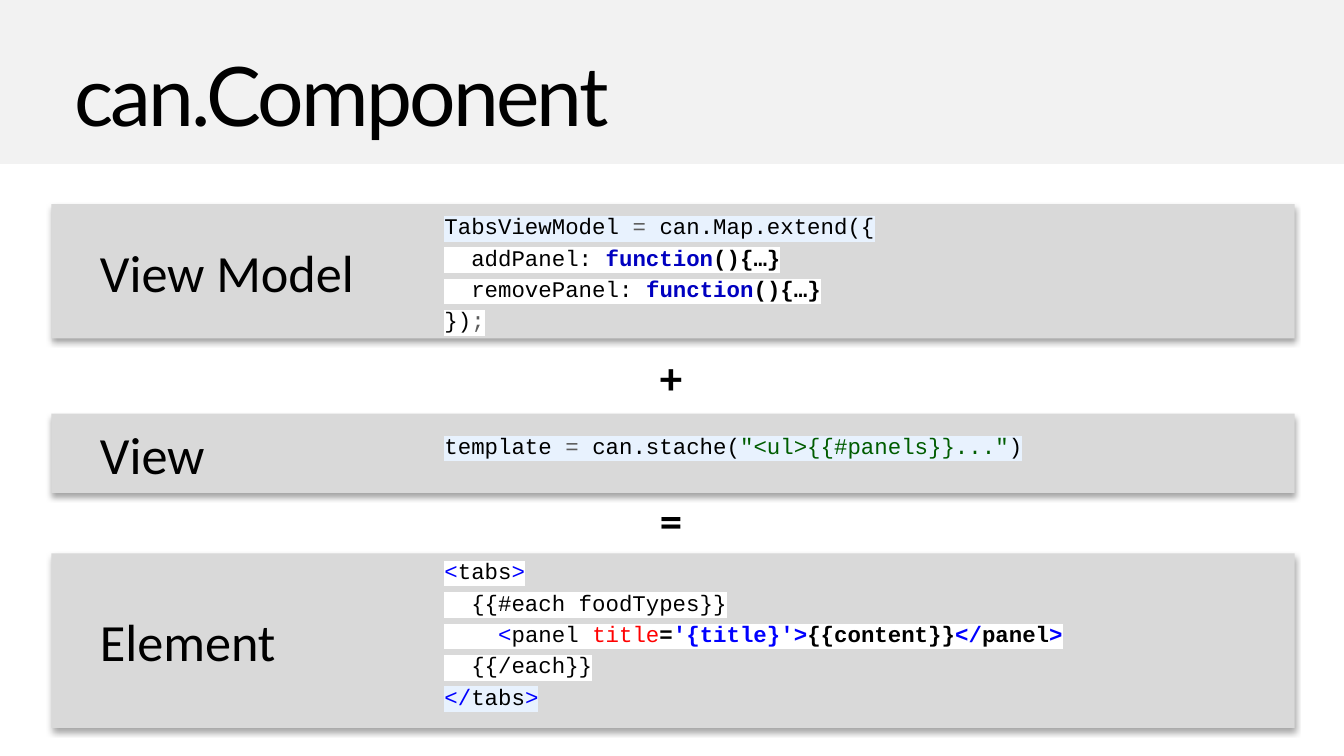
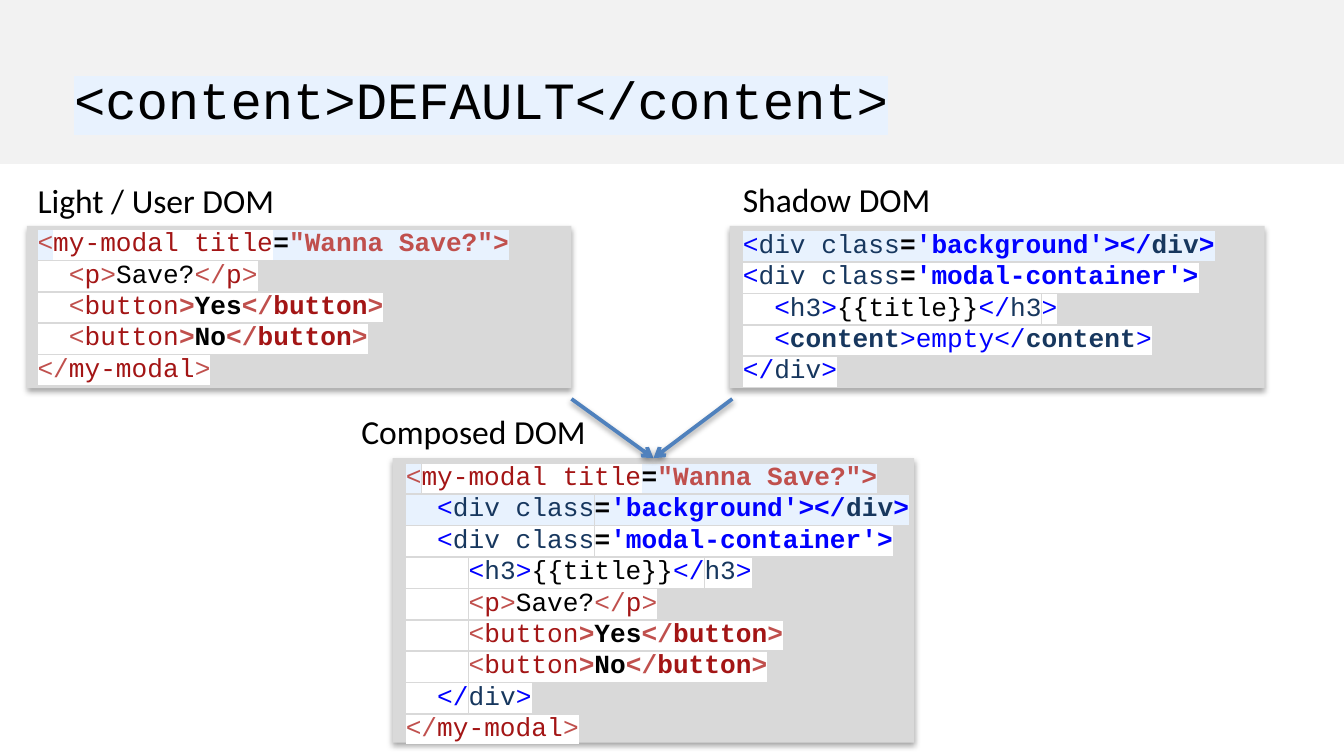
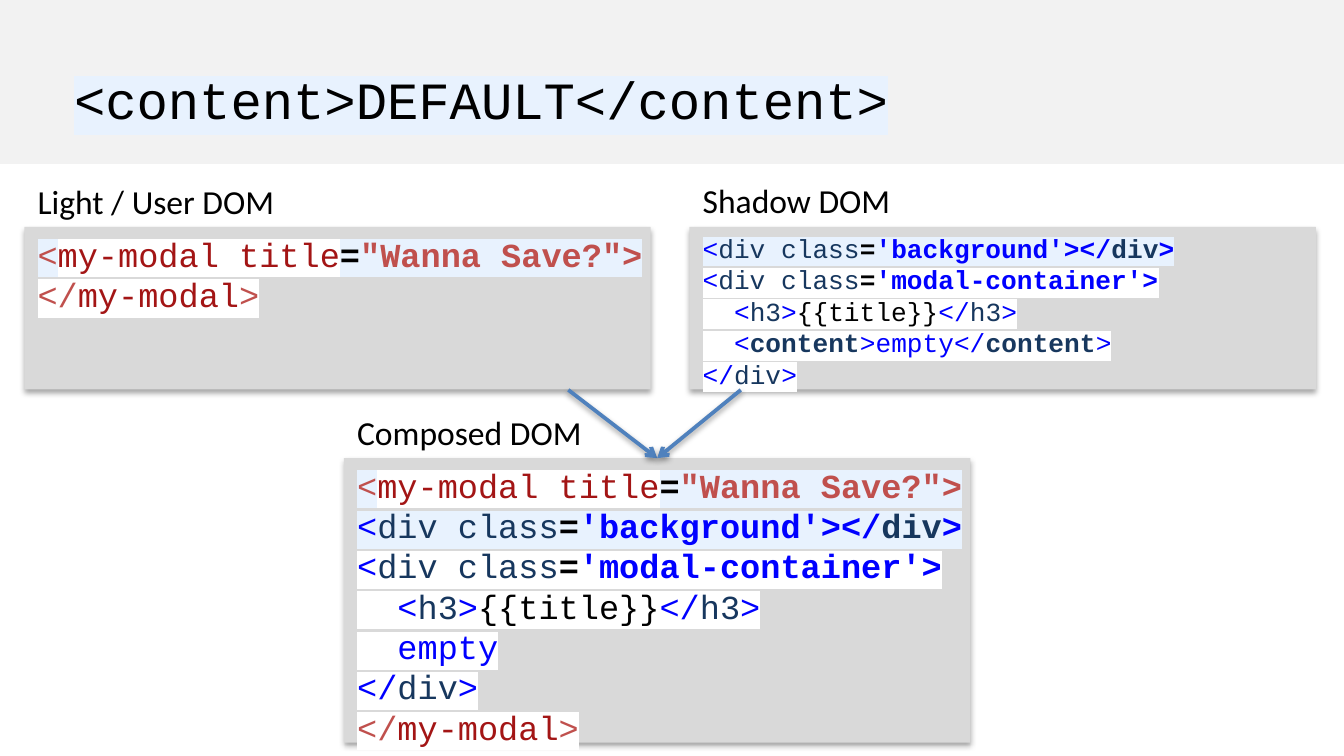
from dataclasses import dataclass
from typing import NamedTuple

from lxml import etree
from pptx import Presentation, util as u
from pptx.dml.color import RGBColor
from pptx.enum import shapes, text
from pptx.oxml.ns import qn

BLACK = RGBColor(0x00, 0x00, 0x00)
WHITE = RGBColor(0xFF, 0xFF, 0xFF)
BAND = RGBColor(0xF2, 0xF2, 0xF2)
CARD = RGBColor(0xD9, 0xD9, 0xD9)
PALE = RGBColor(0xE8, 0xF2, 0xFE)
STEEL = RGBColor(0x4F, 0x81, 0xBD)
GRAY = RGBColor(0x5C, 0x5C, 0x5C)
KEYWORD = RGBColor(0x00, 0x00, 0xC0)
GREEN = RGBColor(0x00, 0x5C, 0x00)
RED = RGBColor(0xFF, 0x00, 0x00)
BLUE = RGBColor(0x00, 0x00, 0xFF)
NAVY = RGBColor(0x17, 0x37, 0x5E)
BRICK = RGBColor(0xC0, 0x50, 0x4D)
MAROON = RGBColor(0xA3, 0x15, 0x15)

BODY, HEADING, CODE = "Calibri", "Lato", "Courier New"
PAGE_WIDTH, PAGE_HEIGHT = 25.4, 14.29


class Frame(NamedTuple):
    """Left, top, width and height in centimetres."""
    left: float
    top: float
    width: float
    height: float

    def lengths(self) -> list[u.Length]:
        return [u.Cm(value) for value in self]


class Span(NamedTuple):
    text: str
    color: RGBColor = BLACK
    bold: bool = False
    back: RGBColor | None = WHITE


Line = list[Span]


class Markup(NamedTuple):
    """Colours of the punctuation and the names in a piece of markup."""
    mark: RGBColor
    name: RGBColor


USER = Markup(BRICK, MAROON)
SHADOW = Markup(BLUE, NAVY)


@dataclass
class Card:
    label: str
    top: float
    height: float
    first_row: int
    lines: list[Line]


@dataclass
class DomPanel:
    label: str
    label_frame: Frame
    card: Frame
    code: Frame
    size: int
    lines: list[Line]


# Lines of code

def highlighted(back: RGBColor, line: Line) -> Line:
    return [span._replace(back=back) for span in line]


def element(indent: str, name: str, body: str, markup: Markup, strong: bool = False) -> Line:
    """An element on one line; strong makes everything after its first name bold."""
    return [Span(indent), Span("<", markup.mark), Span(name, markup.name),
            Span(">", markup.mark, strong), Span(body, BLACK, strong),
            Span("</", markup.mark, strong), Span(name, markup.name, strong),
            Span(">", markup.mark, strong)]


def closing(indent: str, name: str, markup: Markup) -> Line:
    return [Span(indent + "</", markup.mark), Span(name, markup.name), Span(">", markup.mark)]


def div_class(indent: str, rest: str) -> Line:
    return [Span(indent + "<", BLUE), Span("div class", NAVY),
            Span("=", BLACK, True), Span(rest, BLUE, True)]


def background(indent: str = "") -> Line:
    return highlighted(PALE, div_class(indent, "'background'></")
                       + [Span("div", NAVY, True), Span(">", BLUE, True)])


def container(indent: str = "") -> Line:
    return div_class(indent, "'modal-container'>")


def heading(indent: str) -> Line:
    return element(indent, "h3", "{{title}}", SHADOW)


def modal_body(indent: str) -> list[Line]:
    return [element(indent, "p", "Save?", USER),
            element(indent, "button", "Yes", USER, True),
            element(indent, "button", "No", USER, True)]


def method(name: str) -> Line:
    return [Span(f"  {name}: "), Span("function", KEYWORD, True), Span("(){…}", BLACK, True)]


MODAL_OPEN = [Span("<", BRICK, back=PALE), Span("my-modal title", MAROON),
              Span("=", BLACK, True, PALE), Span('"Wanna Save?">', BRICK, True, PALE)]
MODAL_CLOSE = closing("", "my-modal", USER)
SHADOW_LINES = [
    background(), container(), heading("  "),
    [Span("  "), Span("<", BLUE), Span("content", NAVY, True), Span(">empty</", BLUE),
     Span("content", NAVY, True), Span(">", BLUE)],
    closing("", "div", SHADOW),
]

COMPONENT_CARDS = [
    Card("View Model", 3.86, 2.54, 0, [
        highlighted(PALE, [Span("TabsViewModel "), Span("= ", GRAY), Span("can.Map.extend({")]),
        method("addPanel"),
        method("removePanel"),
        [Span("})"), Span(";", GRAY)],
    ]),
    Card("View", 7.82, 1.5, 7, [
        highlighted(PALE, [Span("template "), Span("= ", GRAY), Span("can.stache("),
                           Span('"<ul>{{#panels}}..."', GREEN), Span(")")]),
    ]),
    Card("Element", 10.46, 3.3, 11, [
        [Span("<", BLUE), Span("tabs"), Span(">", BLUE)],
        [Span("  {{#each foodTypes}}")],
        [Span("    "), Span("<", BLUE), Span("panel "), Span("title", RED),
         Span("=", BLACK, True), Span("'{title}'>", BLUE, True),
         Span("{{content}}", BLACK, True), Span("</", BLUE, True),
         Span("panel", BLACK, True), Span(">", BLUE, True)],
        [Span("  {{/each}}")],
        highlighted(PALE, closing("", "tabs", Markup(BLUE, BLACK))),
    ]),
]
SIGNS = {"+": 6.48, "=": 9.19}

FILLED_PANELS = [
    DomPanel("Light / User DOM", Frame(0.46, 3.28, 5.03, 1.02), Frame(0.51, 4.27, 10.29, 3.07),
             Frame(0.46, 4.14, 9.5, 3.25), 14,
             [MODAL_OPEN, *modal_body("  "), MODAL_CLOSE]),
    DomPanel("Shadow DOM", Frame(13.79, 3.25, 4.09, 1.02), Frame(13.79, 4.27, 10.11, 3.07),
             Frame(13.79, 4.17, 9.5, 3.25), 14, SHADOW_LINES),
    DomPanel("Composed DOM", Frame(6.58, 7.65, 4.8, 1.02), Frame(7.42, 8.66, 9.86, 5.38),
             Frame(7.42, 8.56, 10.08, 5.64), 14,
             [MODAL_OPEN, background("  "), container("  "), heading("    "),
              *modal_body("    "), closing("  ", "div", SHADOW), MODAL_CLOSE]),
]
DEFAULT_PANELS = [
    DomPanel("Light / User DOM", Frame(0.46, 3.3, 5.03, 1.02), Frame(0.46, 4.29, 11.84, 3.07),
             Frame(0.46, 4.29, 12.07, 1.8), 18, [MODAL_OPEN, MODAL_CLOSE]),
    DomPanel("Shadow DOM", Frame(13.03, 3.28, 4.09, 1.02), Frame(13.03, 4.29, 11.84, 3.07),
             Frame(13.03, 4.27, 9.5, 3.25), 14, SHADOW_LINES),
    DomPanel("Composed DOM", Frame(6.5, 7.67, 4.8, 1.02), Frame(6.5, 8.66, 11.84, 5.38),
             Frame(6.5, 8.66, 12.07, 5.64), 18,
             [MODAL_OPEN, background(), container(), heading("  "),
              [Span("  "), Span("empty", BLUE)], closing("", "div", SHADOW), MODAL_CLOSE]),
]


# Drawing

def cast_shadow(shape, distance: int, alpha: int) -> None:
    """Add a soft shadow straight below; distance in EMU, alpha in percent."""
    effects = shape.element.spPr.find(qn("a:effectLst"))
    if effects is None:
        effects = etree.SubElement(shape.element.spPr, qn("a:effectLst"))
    shadow = etree.SubElement(effects, qn("a:outerShdw"), blurRad="40000",
                              dist=str(distance), dir="5400000", rotWithShape="0")
    color = etree.SubElement(shadow, qn("a:srgbClr"), val=str(BLACK))
    etree.SubElement(color, qn("a:alpha"), val=str(alpha * 1000))


def add_rectangle(page, frame: Frame, fill: RGBColor):
    box = page.shapes.add_shape(shapes.MSO_SHAPE.RECTANGLE, *frame.lengths())
    box.shadow.inherit = False
    box.fill.solid()
    box.fill.fore_color.rgb = fill
    box.line.fill.background()
    return box


def add_card(page, frame: Frame):
    box = add_rectangle(page, frame, CARD)
    cast_shadow(box, 23000, 35)
    return box


def add_span(para, span: Span, font: str, size: float):
    run = para.add_run()
    run.text = span.text
    run.font.name = font
    run.font.size = u.Pt(size)
    run.font.bold = span.bold
    run.font.color.rgb = span.color
    if span.back is not None:
        highlight = etree.Element(qn("a:highlight"))
        etree.SubElement(highlight, qn("a:srgbClr"), val=str(span.back))
        run.font._element.find(qn("a:solidFill")).addnext(highlight)
    return run


def add_text(page, frame: Frame, lines: list[Line], font: str, size: float,
             wrap: bool = False, space_before: float = 0):
    """Add a text box that grows with its text unless it wraps."""
    box = page.shapes.add_textbox(*frame.lengths())
    words = box.text_frame
    words.word_wrap = wrap
    words.auto_size = (text.MSO_AUTO_SIZE.NONE if wrap
                       else text.MSO_AUTO_SIZE.SHAPE_TO_FIT_TEXT)
    for index, line in enumerate(lines):
        para = words.add_paragraph() if index else words.paragraphs[0]
        para.space_before = u.Pt(space_before)
        for span in line:
            add_span(para, span, font, size)
    return box


def add_title(page, top: float, span: Span, font: str, size: float):
    add_rectangle(page, Frame(0, 0, PAGE_WIDTH, 3.1), BAND)
    box = add_text(page, Frame(1.17, top, 23.24, 1.57), [[span]], font, size, wrap=True)
    words = box.text_frame
    words.margin_left = words.margin_right = u.Cm(0.23)
    words.margin_top = words.margin_bottom = u.Cm(0.1)
    return box


def add_arrow(page, start: tuple[float, float], target) -> None:
    """Draw an arrow from start, in centimetres, to the middle of the target's top side."""
    left, top = (u.Cm(value) for value in start)
    arrow = page.shapes.add_connector(shapes.MSO_CONNECTOR.STRAIGHT, left, top,
                                      target.left + target.width // 2, target.top)
    arrow.end_connect(target, 0)
    arrow.line.color.rgb = STEEL
    arrow.line.width = u.Pt(2)
    etree.SubElement(arrow.element.spPr.find(qn("a:ln")), qn("a:tailEnd"), type="arrow")
    cast_shadow(arrow, 20000, 38)


def add_component_page(deck) -> None:
    page = deck.slides.add_slide(deck.slide_layouts[6])
    title = add_title(page, 0.74, Span("can.Component", back=None), HEADING, 44)
    title.text_frame.paragraphs[0].runs[0].font._element.set("spc", "-150")

    size, gap = 12, 2.4
    row_height = u.Pt(size * 1.2 + gap).cm
    for card in COMPONENT_CARDS:
        box = add_card(page, Frame(0.97, card.top, 23.5, card.height))
        words = box.text_frame
        words.margin_left = u.Cm(0.92)
        words.vertical_anchor = text.MSO_ANCHOR.MIDDLE
        para = words.paragraphs[0]
        para.alignment = text.PP_ALIGN.LEFT
        add_span(para, Span(card.label, back=None), BODY, 28)
        code = Frame(8.15, 3.89 + card.first_row * row_height, 16.64,
                     len(card.lines) * row_height + 0.25)
        add_text(page, code, card.lines, CODE, size, wrap=True, space_before=gap)
    for sign, top in SIGNS.items():
        add_text(page, Frame(12.22, top, 0.94, 1.27),
                 [[Span(sign, bold=True, back=None)]], BODY, 24)


def add_dom_page(deck, panels: list[DomPanel], arrow_starts: list[tuple[float, float]]) -> None:
    """Draw the panels with arrows that lead to the last one."""
    page = deck.slides.add_slide(deck.slide_layouts[6])
    add_title(page, 1.17, Span("<content>DEFAULT</content>", back=PALE), CODE, 28)
    for panel in panels:
        card = add_card(page, panel.card)
        add_text(page, panel.label_frame, [[Span(panel.label, back=None)]], BODY, 18)
        add_text(page, panel.code, panel.lines, CODE, panel.size)
    for start in arrow_starts:
        add_arrow(page, start, card)


def main() -> None:
    deck = Presentation()
    deck.slide_width, deck.slide_height = u.Cm(PAGE_WIDTH), u.Cm(PAGE_HEIGHT)
    add_component_page(deck)
    add_dom_page(deck, FILLED_PANELS, [(10.8, 7.54), (13.84, 7.54)])
    add_dom_page(deck, DEFAULT_PANELS, [(10.74, 7.37), (14, 7.37)])
    deck.save("out.pptx")


if __name__ == "__main__":
    main()
